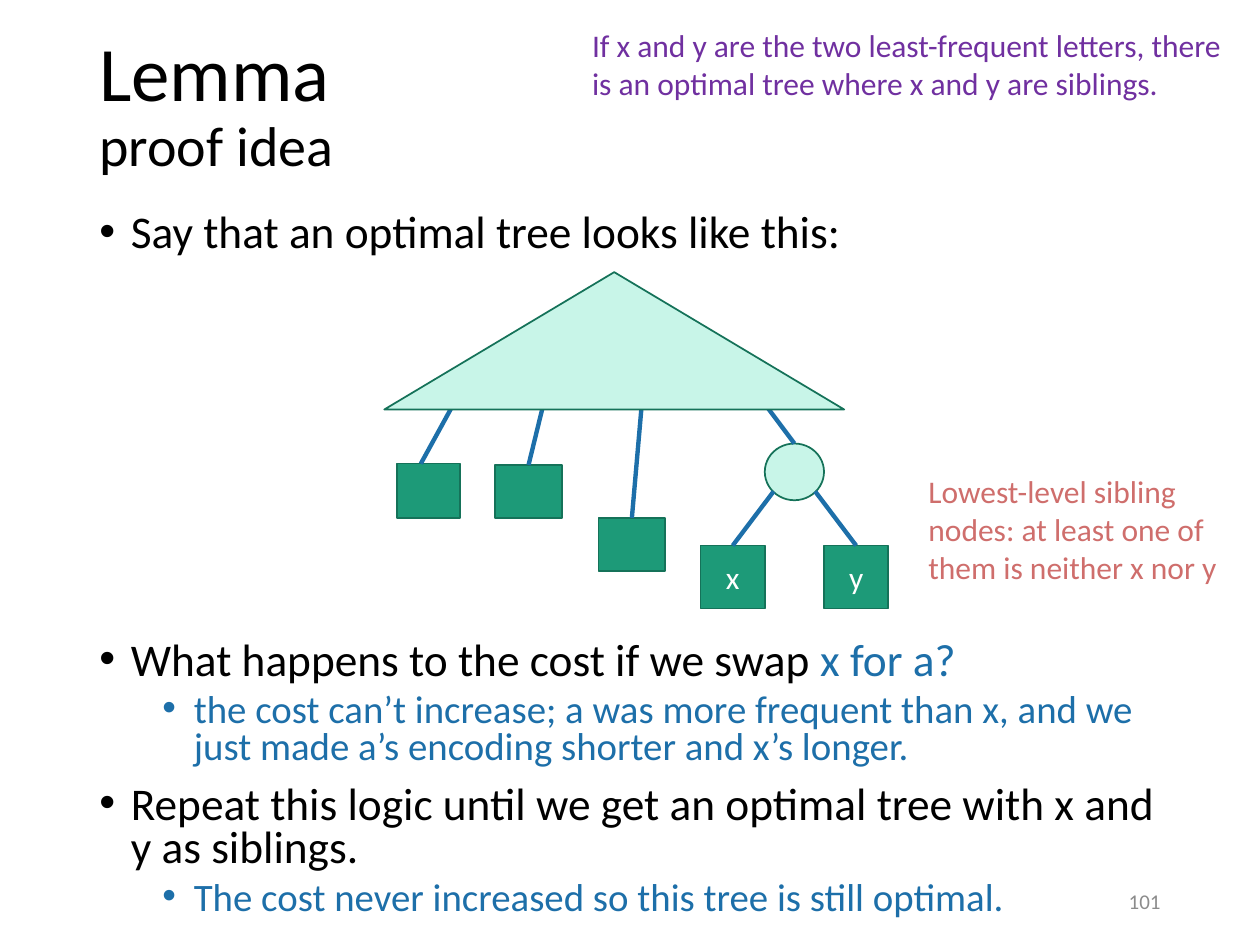
from lxml import etree
from pptx import Presentation
from pptx.dml.color import RGBColor
from pptx.enum.shapes import MSO_CONNECTOR, MSO_SHAPE
from pptx.enum.text import MSO_ANCHOR, PP_ALIGN
from pptx.oxml.ns import qn
from pptx.util import Inches, Pt

BLACK = RGBColor(0, 0, 0)
WHITE = RGBColor(0xFF, 0xFF, 0xFF)
BLUE = RGBColor(0x1D, 0x6F, 0xA9)
GREEN = RGBColor(0x1D, 0x9A, 0x78)
DARK_GREEN = RGBColor(0x15, 0x72, 0x59)
MINT = RGBColor(0xC8, 0xF5, 0xE8)
PURPLE = RGBColor(0x70, 0x30, 0xA0)
ROSE = RGBColor(0xCF, 0x6E, 0x6C)
GRAY = RGBColor(0x8C, 0x8C, 0x8C)


def style(font, size, color):
    """Apply the slide typeface with a size and colour."""
    font.name = "Calibri"
    font.size = Pt(size)
    font.color.rgb = color


def add_frame(slide, box, anchor=MSO_ANCHOR.TOP):
    """Add a wrapping text box and return its text frame."""
    frame = slide.shapes.add_textbox(*map(Inches, box)).text_frame
    frame.word_wrap = True
    frame.vertical_anchor = anchor
    return frame


def add_label(slide, box, text, size, color, anchor=MSO_ANCHOR.TOP, align=PP_ALIGN.LEFT):
    """Add a single-paragraph text in one style."""
    paragraph = add_frame(slide, box, anchor).paragraphs[0]
    paragraph.text = text
    paragraph.alignment = align
    style(paragraph.runs[0].font, size, color)


def add_title(slide, box):
    """Add the two-line title with a smaller second line."""
    title = add_frame(slide, box, MSO_ANCHOR.MIDDLE).paragraphs[0]
    title.text = "Lemma\vproof idea"
    title.line_spacing = 0.9
    for run, size in zip(title.runs, (44, 32)):
        style(run.font, size, BLACK)


def add_bullets(slide, box, items):
    """Add bullets given as (level, [(text, colour), ...])."""
    frame = add_frame(slide, box)
    for index, (level, pieces) in enumerate(items):
        paragraph = frame.add_paragraph() if index else frame.paragraphs[0]
        properties = paragraph._p.get_or_add_pPr()
        properties.set("marL", str(Inches(0.25 + 0.5 * level)))
        properties.set("indent", str(Inches(-0.25)))
        etree.SubElement(properties, qn("a:buFont")).set("typeface", "Arial")
        etree.SubElement(properties, qn("a:buChar")).set("char", "•")
        paragraph.level = level
        paragraph.line_spacing = 0.8
        if index:
            paragraph.space_before = Pt(5 if level else 10)
        for text, color in pieces:
            run = paragraph.add_run()
            run.text = text
            style(run.font, 22.2 if level else 25.9, color)


def add_node(slide, kind, box, fill, text=""):
    """Add an outlined tree part with an optional letter."""
    node = slide.shapes.add_shape(kind, *map(Inches, box))
    node.shadow.inherit = False
    node.fill.solid()
    node.fill.fore_color.rgb = fill
    node.line.color.rgb = DARK_GREEN
    node.line.width = Pt(1)
    if text:
        node.text_frame.text = text
        node.text_frame.vertical_anchor = MSO_ANCHOR.MIDDLE
        letter = node.text_frame.paragraphs[0]
        letter.alignment = PP_ALIGN.CENTER
        style(letter.runs[0].font, 18, WHITE)
    return node


def add_branch(slide, start, end, child=None):
    """Add a tree edge, joined to the top of its child if given."""
    branch = slide.shapes.add_connector(
        MSO_CONNECTOR.STRAIGHT, *map(Inches, (*start, *end)))
    branch.line.color.rgb = BLUE
    branch.line.width = Pt(2.5)
    etree.SubElement(branch._element.spPr, qn("a:effectLst"))
    if child is not None:
        branch.end_connect(child, 0)


def add_tree(slide, box):
    """Draw the optimal tree with its leaves and lowest siblings."""
    left, top, width, height = box

    def node(kind, x, y, w, h, fill, text=""):
        return add_node(slide, kind, (left + x, top + y, w, h), fill, text)

    def branch(x1, y1, x2, y2, child=None):
        add_branch(slide, (left + x1, top + y1), (left + x2, top + y2), child)

    parent = node(MSO_SHAPE.OVAL, 3.02, 1.36, 0.47, 0.45, MINT)
    node(MSO_SHAPE.RECTANGLE, 0.1, 1.52, 0.5, 0.43, GREEN)
    second_leaf, third_leaf = [
        node(MSO_SHAPE.RECTANGLE, x, y, 0.53, 0.42, GREEN)
        for x, y in ((0.88, 1.53), (1.7, 1.95))]
    sibling_x, sibling_y = [
        node(MSO_SHAPE.RECTANGLE, x, 2.17, 0.51, 0.5, GREEN, letter)
        for x, letter in ((2.51, "x"), (3.49, "y"))]

    branch(0.57, 1.01, 0.29, 1.52)
    branch(1.27, 1.02, 1.14, 1.53, second_leaf)
    branch(2.04, height, 1.96, 1.95, third_leaf)
    branch(3, 1.02, 3.26, 1.36, parent)
    branch(3.09, 1.74, 2.77, 2.17, sibling_x)
    branch(3.42, 1.74, 3.74, 2.17, sibling_y)
    node(MSO_SHAPE.ISOSCELES_TRIANGLE, 0, 0, width, height, MINT)


def main():
    """Build and save the slide."""
    presentation = Presentation()
    presentation.slide_width = Inches(10)
    presentation.slide_height = Inches(7.5)
    slide = presentation.slides.add_slide(presentation.slide_layouts[6])

    add_title(slide, (0.69, 0.12, 8.62, 1.45))
    add_bullets(slide, (0.69, 1.65, 8.62, 0.5), [
        (0, [("Say that an optimal tree looks like this:", BLACK)]),
    ])
    add_bullets(slide, (0.69, 5.04, 8.62, 2.46), [
        (0, [("What happens to the cost if we swap ", BLACK), ("x for a?", BLUE)]),
        (1, [("the cost can’t increase; a was more frequent than x, and we "
              "just made a’s encoding shorter and x’s longer.", BLUE)]),
        (0, [("Repeat this logic until we get an optimal tree with x and y "
              "as siblings.", BLACK)]),
        (1, [("The cost never increased so this tree is still optimal.", BLUE)]),
    ])
    add_tree(slide, (3.05, 2.16, 3.65, 1.09))
    add_label(slide, (7.27, 3.7, 2.52, 1.01),
              "Lowest-level sibling nodes: at least one of them is neither x nor y",
              18, ROSE)
    add_label(slide, (4.6, 0.16, 5.38, 0.71),
              "If x and y are the two least-frequent letters, there is an optimal "
              "tree where x and y are siblings.", 18, PURPLE)
    add_label(slide, (7.06, 6.95, 2.25, 0.4), "101", 12, GRAY,
              MSO_ANCHOR.MIDDLE, PP_ALIGN.RIGHT)
    presentation.save("out.pptx")


if __name__ == "__main__":
    main()
